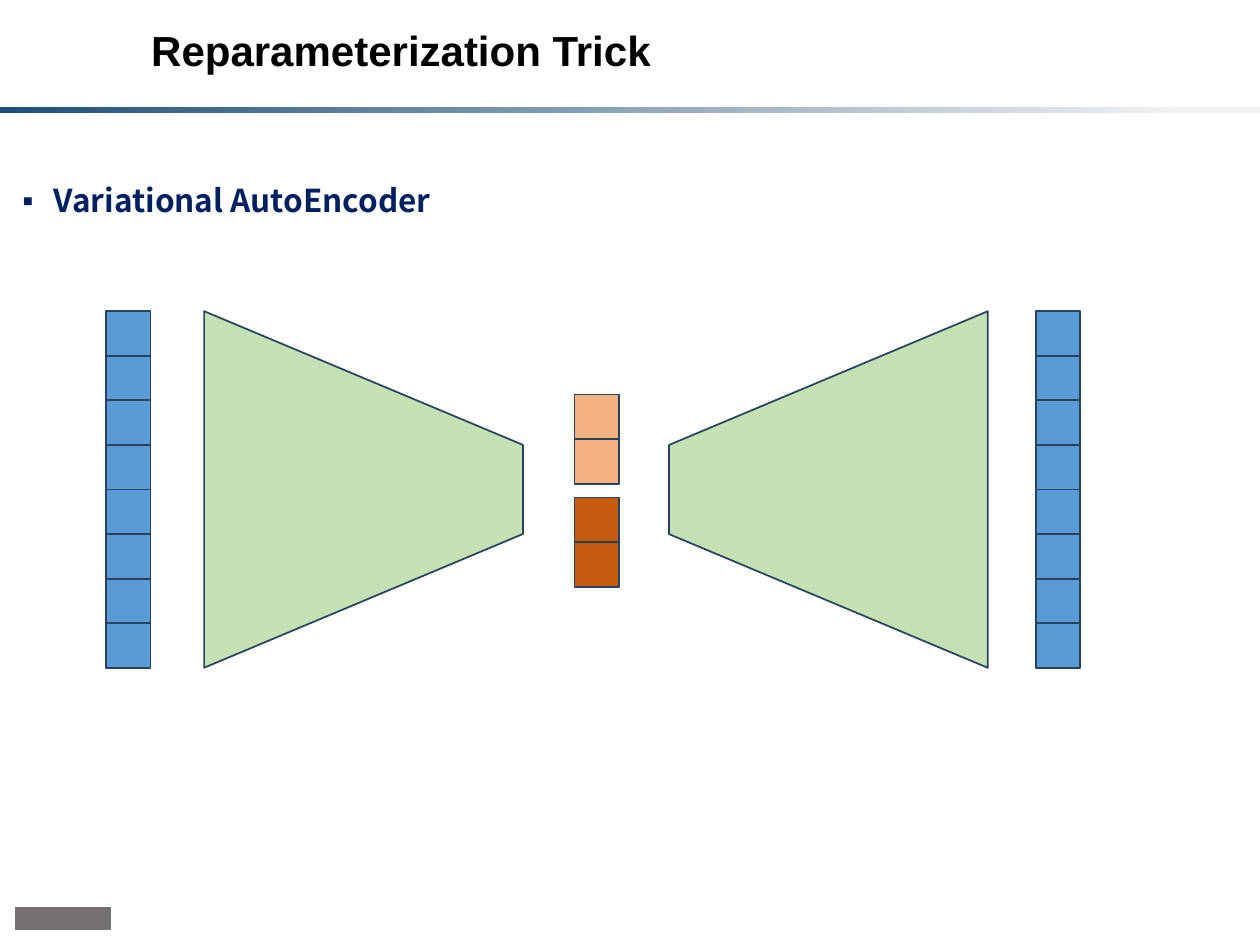
from dataclasses import dataclass

from lxml import etree
from pptx import Presentation
from pptx.dml.color import RGBColor
from pptx.enum.shapes import MSO_SHAPE
from pptx.enum.text import MSO_ANCHOR, MSO_AUTO_SIZE, PP_ALIGN
from pptx.oxml.ns import qn
from pptx.shapes.autoshape import Shape
from pptx.slide import Slide
from pptx.text.text import _Paragraph
from pptx.util import Inches, Pt

RECTANGLE = MSO_SHAPE.RECTANGLE
TRAPEZOID = MSO_SHAPE.TRAPEZOID
LEFT = PP_ALIGN.LEFT
TOP, MIDDLE = MSO_ANCHOR.TOP, MSO_ANCHOR.MIDDLE
NO_AUTOFIT = MSO_AUTO_SIZE.NONE


@dataclass(frozen=True)
class Theme:
    title_font: str = "Arial"
    body_font: str = "Noto Sans CJK KR"
    title_size: float = 24
    body_size: float = 18
    line_spacing: float = 0.9
    outline_width: float = 1
    title: str = "000000"
    body: str = "002060"
    rule_start: str = "1F4E79"
    rule_end: str = "F2F2F2"
    emblem: str = "767171"
    outline: str = "28445D"
    data: str = "5B9BD5"
    network: str = "C5E0B4"
    mean: str = "F4B183"
    deviation: str = "C55A11"


@dataclass(frozen=True)
class Vector:
    """A column of square cells; first_row counts cells down from the grid top."""
    left: float
    first_row: float
    cells: int
    color: str


@dataclass(frozen=True)
class Network:
    """A trapezoid lying on its side; rotation sets which way it narrows."""
    left: float
    rotation: int


THEME = Theme()
SLIDE_W, SLIDE_H = 10, 7.5

# Grid of the diagram: the data vectors and networks span all rows
ROWS = 8
GRID_TOP = 2.47
CELL = 2.83 / ROWS
NETWORK_W = 2.53
NARROW_ROWS = 2
LATENT_LEFT = 4.56

VECTORS = (
    Vector(0.84, 0, ROWS, THEME.data),
    Vector(8.22, 0, ROWS, THEME.data),
    Vector(LATENT_LEFT, 1.87, 2, THEME.mean),
    Vector(LATENT_LEFT, 4.18, 2, THEME.deviation),
)
NETWORKS = (Network(1.62, 90), Network(5.31, 270))


def rgb(color: str) -> RGBColor:
    return RGBColor.from_string(color)


def add_block(slide: Slide, kind: int, left: float, top: float, width: float,
              height: float, color: str, outlined: bool = True) -> Shape:
    block = slide.shapes.add_shape(
        kind, Inches(left), Inches(top), Inches(width), Inches(height))
    block.shadow.inherit = False
    block.fill.solid()
    block.fill.fore_color.rgb = rgb(color)
    if outlined:
        block.line.color.rgb = rgb(THEME.outline)
        block.line.width = Pt(THEME.outline_width)
    else:
        block.line.fill.background()
    return block


def add_vector(slide: Slide, vector: Vector) -> None:
    for row in range(vector.cells):
        top = GRID_TOP + (vector.first_row + row) * CELL
        add_block(slide, RECTANGLE, vector.left, top, CELL, CELL, vector.color)


def add_network(slide: Slide, network: Network) -> None:
    base = ROWS * CELL
    # The unrotated trapezoid shares its centre with the rotated one
    shift = (base - NETWORK_W) / 2
    trapezoid = add_block(slide, TRAPEZOID, network.left - shift, GRID_TOP + shift,
                          base, NETWORK_W, THEME.network)
    trapezoid.adjustments[0] = (ROWS - NARROW_ROWS) / 2 * CELL / NETWORK_W
    trapezoid.rotation = network.rotation


def style_paragraph(paragraph: _Paragraph, font: str, size: float, color: str) -> None:
    paragraph.alignment = LEFT
    paragraph.line_spacing = THEME.line_spacing
    paragraph.font.name = font
    paragraph.font.size = Pt(size)
    paragraph.font.bold = True
    paragraph.font.color.rgb = rgb(color)


def add_bullet(paragraph: _Paragraph, indent: float) -> None:
    properties = paragraph._p.get_or_add_pPr()
    properties.set("marL", str(Inches(indent)))
    properties.set("indent", str(-Inches(indent)))
    etree.SubElement(properties, qn("a:buFont")).set("typeface", THEME.title_font)
    etree.SubElement(properties, qn("a:buChar")).set("char", "▪")


def add_header(slide: Slide) -> None:
    # Rule fading out to the right
    rule = add_block(slide, RECTANGLE, 0, 0.85, SLIDE_W, 0.05, THEME.rule_start, False)
    rule.fill.gradient()
    rule.fill.gradient_angle = 0
    stops = rule.fill.gradient_stops
    for stop, position, color in zip(stops, (0, 0.94), (THEME.rule_start, THEME.rule_end)):
        stop.position = position
        stop.color.rgb = rgb(color)

    # Title
    title = slide.shapes.title
    title.left, title.top = Inches(0.81), Inches(-0.12)
    title.width, title.height = Inches(9.38), Inches(1.08)
    frame = title.text_frame
    frame.text = "Reparameterization Trick"
    frame.auto_size = NO_AUTOFIT
    frame.vertical_anchor = MIDDLE
    frame.margin_left = Inches(0.39)
    style_paragraph(frame.paragraphs[0], THEME.title_font, THEME.title_size, THEME.title)


def add_topic(slide: Slide) -> None:
    topic = slide.shapes.add_textbox(Inches(0.08), Inches(1.42), Inches(9.7), Inches(6.01))
    frame = topic.text_frame
    frame.word_wrap = True
    frame.vertical_anchor = TOP
    frame.text = "Variational AutoEncoder"
    paragraph = frame.paragraphs[0]
    add_bullet(paragraph, 0.25)
    style_paragraph(paragraph, THEME.body_font, THEME.body_size, THEME.body)


def main() -> None:
    presentation = Presentation()
    presentation.slide_width = Inches(SLIDE_W)
    presentation.slide_height = Inches(SLIDE_H)
    slide = presentation.slides.add_slide(presentation.slide_layouts[5])

    add_header(slide)
    # Plain emblem in the footer
    add_block(slide, RECTANGLE, 0.12, 7.2, 0.76, 0.18, THEME.emblem, False)
    add_topic(slide)

    # Encoder, latent vectors and decoder
    for vector in VECTORS:
        add_vector(slide, vector)
    for network in NETWORKS:
        add_network(slide, network)

    presentation.save("out.pptx")


if __name__ == "__main__":
    main()
